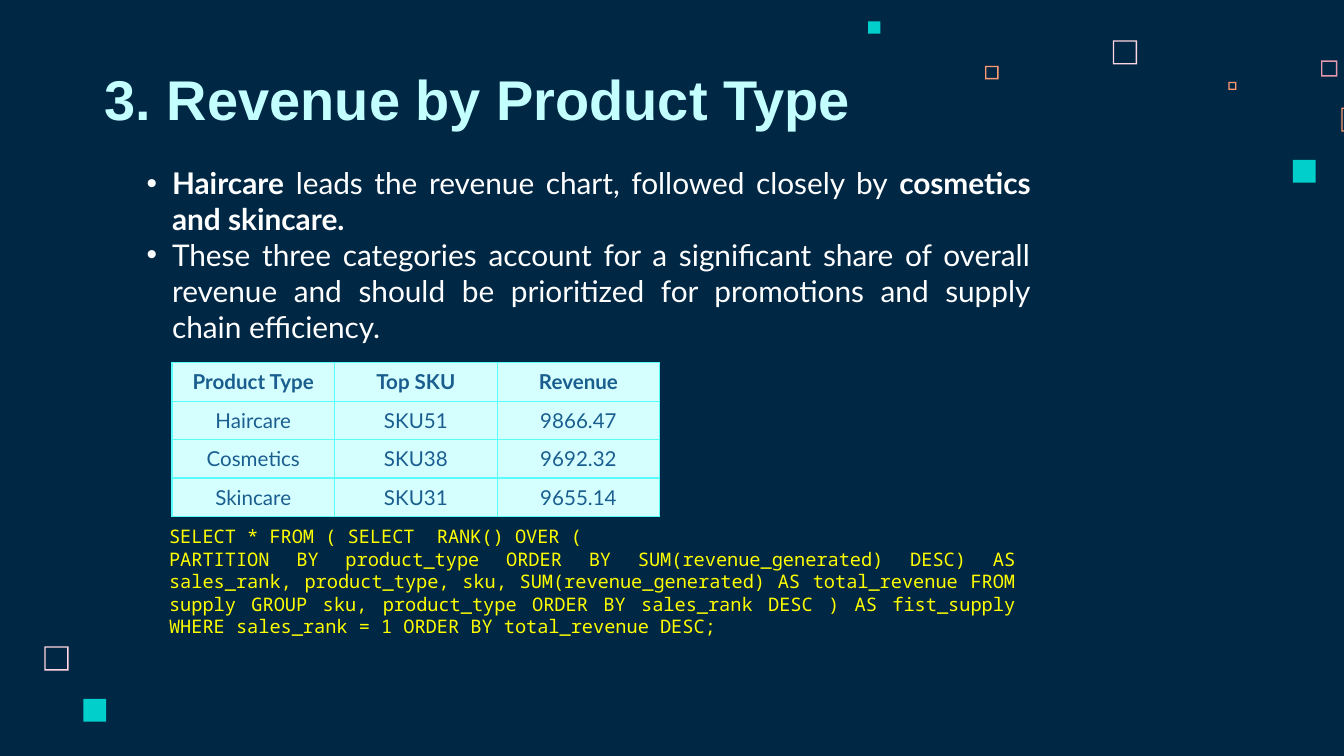
from lxml import etree
from pptx import Presentation
from pptx.dml.color import RGBColor
from pptx.enum import shapes, text
from pptx.oxml import ns
from pptx.util import Inches, Pt


def paint(color_format, color):
    color_format.rgb = RGBColor.from_string(color)


def style(font, name, size, color, bold=False):
    font.name, font.size, font.bold = name, Pt(size), bold
    paint(font.color, color)


deck = Presentation()
deck.slide_width, deck.slide_height = Inches(10), Inches(5.625)  # 16:9
page = deck.slides.add_slide(deck.slide_layouts[1])
page.background.fill.solid()
paint(page.background.fill.fore_color, "002845")

# Decorative squares: left, top, side, colour, border thickness (0 = solid)
squares = [
    (8.28, 0.3, 0.18, "FFD6E1", 0.01),
    (9.83, 0.45, 0.12, "E898AC", 0.01),
    (9.14, 0.61, 0.06, "FF9973", 0.01),
    (9.98, 0.8, 0.18, "FF9973", 0.01),
    (9.62, 1.19, 0.17, "00CFCC", 0),
    (7.33, 0.49, 0.1, "FF9973", 0.01),
    (6.46, 0.16, 0.09, "00CFCC", 0),
    (0.33, 4.81, 0.18, "FFD6E1", 0.01),
    (0.62, 5.2, 0.17, "00CFCC", 0),
]
for left, top, side, color, border in squares:
    kind = shapes.MSO_SHAPE.FRAME if border else shapes.MSO_SHAPE.RECTANGLE
    square = page.shapes.add_shape(kind, Inches(left), Inches(top), Inches(side), Inches(side))
    if border:
        square.adjustments[0] = border / side
    square.shadow.inherit = False
    square.fill.solid()
    paint(square.fill.fore_color, color)
    square.line.fill.background()

# Title
title = page.shapes.title
title.left, title.top, title.width, title.height = map(Inches, (0.68, 0.45, 6.51, 0.63))
frame = title.text_frame
frame.text = "3. Revenue by Product Type"
frame.auto_size = text.MSO_AUTO_SIZE.NONE
frame.vertical_anchor = text.MSO_ANCHOR.BOTTOM
frame.margin_left = frame.margin_right = frame.margin_top = frame.margin_bottom = Inches(0.1)
frame.paragraphs[0].alignment = text.PP_ALIGN.LEFT
style(frame.paragraphs[0].font, "Arial", 30, "C2FFFE", True)

# Findings: each bullet is a list of (words, bold)
findings = [
    [("Haircare", True), (" leads the revenue chart, followed closely by ", False),
     ("cosmetics and skincare.", True)],
    [("These three categories account for a significant share of overall revenue and "
      "should be prioritized for promotions and supply chain efficiency.", False)],
]
body = page.placeholders[1]
body.left, body.top, body.width, body.height = map(Inches, (0.99, 1.17, 6.78, 1.45))
frame = body.text_frame
frame.auto_size = text.MSO_AUTO_SIZE.NONE
frame.vertical_anchor = text.MSO_ANCHOR.MIDDLE
for index, finding in enumerate(findings):
    para = frame.add_paragraph() if index else frame.paragraphs[0]
    para.alignment = text.PP_ALIGN.JUSTIFY
    para.space_before = Pt(0)
    props = para._p.get_or_add_pPr()
    props.set("marL", str(Inches(0.19)))
    props.set("indent", str(-Inches(0.19)))
    bullet_color = etree.SubElement(props, ns.qn("a:buClr"))
    etree.SubElement(bullet_color, ns.qn("a:srgbClr"), val="FFFFFF")
    etree.SubElement(props, ns.qn("a:buChar"), char="•")
    style(para.font, "Lato", 16, "FFFFFF")
    for words, bold in finding:
        span = para.add_run()
        span.text = words
        span.font.bold = bold

# Revenue table
rows = [
    ("Product Type", "Top SKU", "Revenue"),
    ("Haircare", "SKU51", "9866.47"),
    ("Cosmetics", "SKU38", "9692.32"),
    ("Skincare", "SKU31", "9655.14"),
]
table = page.shapes.add_table(len(rows), 3, Inches(1.28), Inches(2.7),
                              Inches(3.63), Inches(1.13)).table
for row, values in enumerate(rows):
    for column, value in enumerate(values):
        cell = table.cell(row, column)
        cell.text = value
        if row:
            cell.vertical_anchor = text.MSO_ANCHOR.MIDDLE
        para = cell.text_frame.paragraphs[0]
        para.alignment = text.PP_ALIGN.CENTER
        style(para.font, "Lato", 11, "1A5E8F", row == 0)
        props = cell._tc.get_or_add_tcPr()
        for edge in ("a:lnL", "a:lnR", "a:lnT", "a:lnB"):
            line = etree.SubElement(props, ns.qn(edge), w=str(Pt(0.75)))
            fill = etree.SubElement(line, ns.qn("a:solidFill"))
            etree.SubElement(fill, ns.qn("a:srgbClr"), val="58FDFB")
        cell.fill.solid()
        paint(cell.fill.fore_color, "D5FFFE")

# Query
query = [
    ("SELECT * FROM ( SELECT  RANK() OVER (", text.PP_ALIGN.LEFT),
    ("PARTITION BY product_type ORDER BY SUM(revenue_generated) DESC) AS sales_rank, "
     "product_type, sku, SUM(revenue_generated) AS total_revenue FROM supply GROUP sku, "
     "product_type ORDER BY sales_rank DESC ) AS fist_supply WHERE sales_rank = 1 "
     "ORDER BY total_revenue DESC;", text.PP_ALIGN.JUSTIFY),
]
box = page.shapes.add_textbox(Inches(1.16), Inches(3.86), Inches(6.49), Inches(0.94))
frame = box.text_frame
frame.word_wrap = True
frame.auto_size = text.MSO_AUTO_SIZE.SHAPE_TO_FIT_TEXT
for index, (line, alignment) in enumerate(query):
    para = frame.add_paragraph() if index else frame.paragraphs[0]
    para.text = line
    para.alignment = alignment
    style(para.font, "Noto Sans Mono", 10, "FFFF00")

deck.save("out.pptx")
